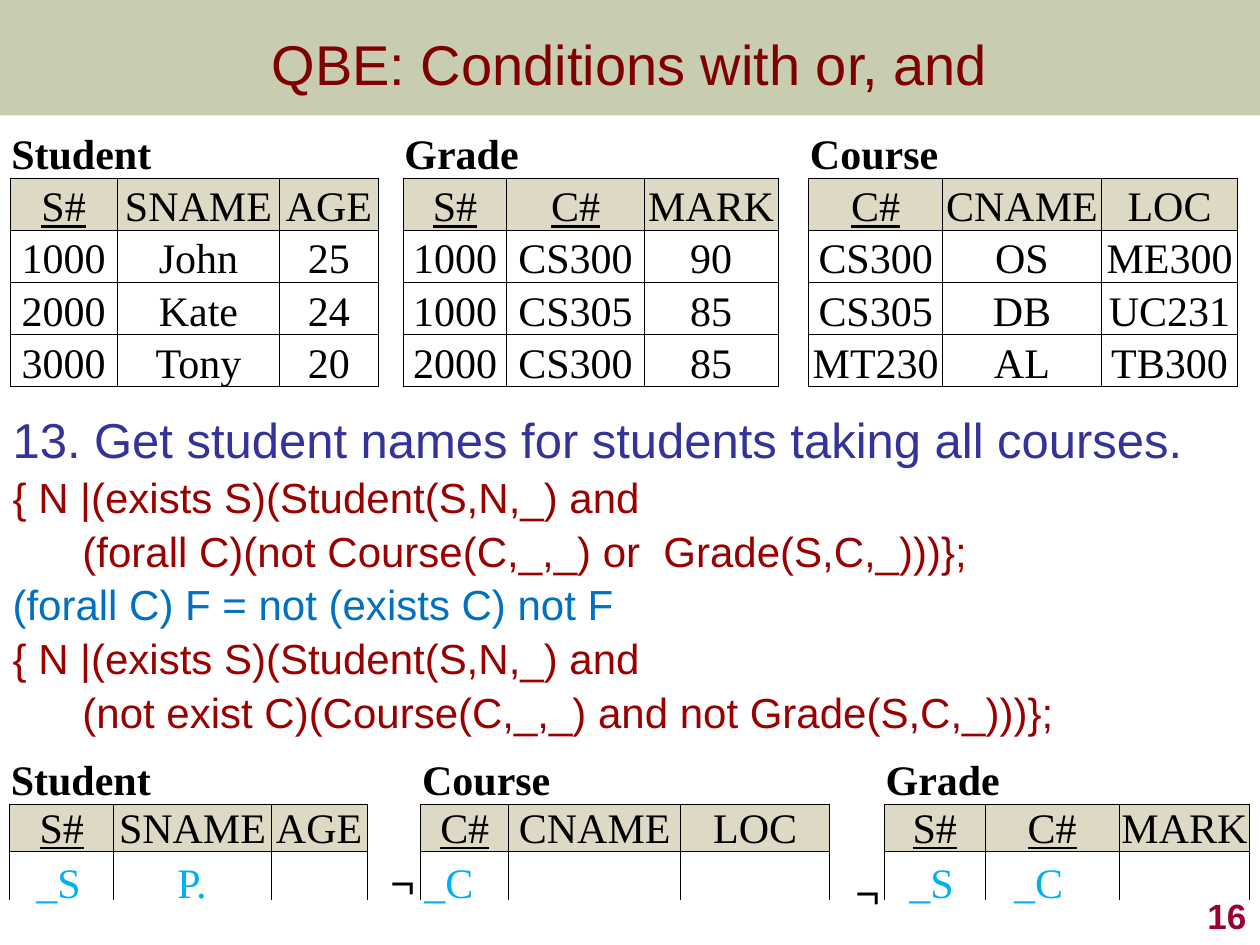
import pptx
import pptx.dml.color
import pptx.enum.shapes
import pptx.enum.text
import pptx.oxml
import pptx.oxml.ns
import pptx.util
from lxml import etree

Pt = pptx.util.Pt
ALIGN = pptx.enum.text.PP_ALIGN
ANCHOR = pptx.enum.text.MSO_ANCHOR
AUTO_SIZE = pptx.enum.text.MSO_AUTO_SIZE
qn = pptx.oxml.ns.qn

COLORS = {
    "band": "677228", "title": "800000", "question": "333399",
    "query": "990000", "rule": "0070C0", "example": "00B0F0",
    "header": "DDD9C4", "white": "FFFFFF", "black": "000000", "number": "990033",
}
SERIF, SANS = "Times New Roman", "Arial"

# Each relation: name, column names, column widths, rows
SAMPLE_RELATIONS = [
    ("Student", ["S#", "SNAME", "AGE"], [61.2, 92.9, 56.2],
     [["1000", "John", "25"], ["2000", "Kate", "24"], ["3000", "Tony", "20"]]),
    ("Grade", ["S#", "C#", "MARK"], [59.2, 78.5, 76.5],
     [["1000", "CS300", "90"], ["1000", "CS305", "85"], ["2000", "CS300", "85"]]),
    ("Course", ["C#", "CNAME", "LOC"], [76.5, 90.7, 78],
     [["CS300", "OS", "ME300"], ["CS305", "DB", "UC231"], ["MT230", "AL", "TB300"]]),
]
SAMPLE_GAPS = [14.4, 17.6]
BLANK_ROW = [["", "", ""]]
# Left edge and relation of each query skeleton
QUERY_RELATIONS = [
    (5.5, ("Student", ["S#", "SNAME", "AGE"], [59.5, 90, 54.7], BLANK_ROW)),
    (505.4, ("Grade", ["S#", "C#", "MARK"], [57.6, 76.5, 74.7], BLANK_ROW)),
    (240.5, ("Course", ["C#", "CNAME", "LOC"], [50.2, 98.4, 85], BLANK_ROW)),
]
# Text, left edge and width of each example element
EXAMPLES = [("P.", 94.3, 33), ("_S", 13.7, 42), ("_S", 512.6, 42),
            ("_C", 572.4, 44), ("_C", 235.4, 44)]
NEGATIONS = [(216, 486), (481.7, 491.8)]
BODY_LINES = [
    ("13. Get student names for students taking all courses.", 28, "question"),
    ("{ N |(exists S)(Student(S,N,_) and", 24, "query"),
    ("      (forall C)(not Course(C,_,_) or  Grade(S,C,_)))};", 24, "query"),
    ("(forall C) F = not (exists C) not F", 24, "rule"),
    ("{ N |(exists S)(Student(S,N,_) and", 24, "query"),
    ("      (not exist C)(Course(C,_,_) and not Grade(S,C,_)))};", 24, "query"),
]


def rgb(name):
    return pptx.dml.color.RGBColor.from_string(COLORS[name])


def set_font(para, face, size, color, bold=False, italic=False, underline=False):
    font = para.font
    font.name, font.size = face, Pt(size)
    font.bold, font.italic, font.underline = bold, italic, underline
    font.color.rgb = rgb(color)


def place(shape, left, top, width, height):
    shape.left, shape.top = Pt(left), Pt(top)
    shape.width, shape.height = Pt(width), Pt(height)


def add_title(page, left, top, width, height):
    title = page.shapes.title
    place(title, left, top, width, height)
    title.text_frame.text = "QBE: Conditions with or, and"
    title.text_frame.vertical_anchor = ANCHOR.MIDDLE
    para = title.text_frame.paragraphs[0]
    para.alignment = ALIGN.CENTER
    set_font(para, SANS, 32, "title")

    # Translucent band behind the title
    band = page.shapes.add_shape(
        pptx.enum.shapes.MSO_SHAPE.RECTANGLE, Pt(left), Pt(top), Pt(width), Pt(66))
    band.shadow.inherit = False
    band.fill.solid()
    band.fill.fore_color.rgb = rgb("band")
    band.line.fill.background()
    color = band.element.spPr.find(qn("a:solidFill")).find(qn("a:srgbClr"))
    etree.SubElement(color, qn("a:alpha"), val="36000")
    title.element.addprevious(band.element)


def add_body(page, left, top, width, height):
    body = page.placeholders[1]
    place(body, left, top, width, height)
    frame = body.text_frame
    frame.auto_size = AUTO_SIZE.NONE
    frame.vertical_anchor = ANCHOR.TOP
    frame.margin_right = 0
    for index, (text, size, color) in enumerate(BODY_LINES):
        para = frame.add_paragraph() if index else frame.paragraphs[0]
        para.text = text
        para.line_spacing = 0.9
        para.space_before = Pt(4.8 if index else 0)
        properties = para._p.get_or_add_pPr()
        properties.set("marL", "0")
        properties.set("indent", "0")
        etree.SubElement(properties, qn("a:buNone"))
        set_font(para, SANS, size, color)


def add_label(page, text, box, face, size, color, grow=True, **style):
    """Adds a one-line label; a growing label fits its text without wrapping."""
    label = page.shapes.add_textbox(*(Pt(length) for length in box))
    frame = label.text_frame
    frame.word_wrap = not grow
    frame.auto_size = AUTO_SIZE.SHAPE_TO_FIT_TEXT if grow else AUTO_SIZE.NONE
    frame.text = text
    set_font(frame.paragraphs[0], face, size, color, **style)
    return frame


def format_cell(cell, text, fill, edges, align=ALIGN.CENTER, **style):
    cell.margin_left = cell.margin_right = Pt(0.7)
    cell.margin_top = cell.margin_bottom = 0
    cell.vertical_anchor = ANCHOR.BOTTOM
    cell.text = text
    para = cell.text_frame.paragraphs[0]
    para.alignment = align
    para.line_spacing = 0.92
    set_font(para, SERIF, 24 if text else 18, "black", **style)
    properties = cell._tc.get_or_add_tcPr()
    for edge in "LRTB":
        line = etree.SubElement(properties, qn("a:ln" + edge), w=str(Pt(0.5)))
        if edge in edges:
            paint = etree.SubElement(line, qn("a:solidFill"))
            etree.SubElement(paint, qn("a:srgbClr"), val=COLORS["black"])
        else:
            etree.SubElement(line, qn("a:noFill"))
    cell.fill.solid()
    cell.fill.fore_color.rgb = rgb(fill)


def add_relations(page, left, top, row_height, relations, gaps=()):
    """Places relations side by side in one table, with empty columns between."""
    widths = list(relations[0][2])
    for gap, relation in zip(gaps, relations[1:]):
        widths += [gap] + relation[2]
    row_count = 2 + len(relations[0][3])
    table = page.shapes.add_table(
        row_count, len(widths), Pt(left), Pt(top),
        Pt(sum(widths)), Pt(row_height * row_count)).table
    table.first_row = table.horz_banding = False
    for column, width in zip(table.columns, widths):
        column.width = Pt(width)
    for row in table.rows:
        row.height = Pt(row_height)

    first = 0
    for name, headers, relation_widths, rows in relations:
        count = len(headers)
        for offset, header in enumerate(headers):
            column = first + offset
            format_cell(table.cell(0, column), "" if offset else name,
                        "white", "B", ALIGN.LEFT, bold=True)
            format_cell(table.cell(1, column), header, "header", "LRTB",
                        underline=header.endswith("#"))
            for index, values in enumerate(rows, 2):
                text = values[offset]
                format_cell(table.cell(index, column), text, "white",
                            "LRTB" if text else "LRT")
        table.cell(0, first).merge(table.cell(0, first + count - 1))
        first += count
        if first < len(widths):
            for index in range(row_count):
                format_cell(table.cell(index, first), "", "white", "LR" if index else "")
            first += 1


def add_query(page, top):
    for left, relation in QUERY_RELATIONS:
        add_relations(page, left, top, 27.4, [relation])
    # Example elements and negation signs
    for text, left, width in EXAMPLES:
        add_label(page, text, (left, top + 54, width, 36), SERIF, 24, "example")
    for left, sign_top in NEGATIONS:
        add_label(page, "¬", (left, sign_top, 28.8, 36), SANS, 24, "black", italic=True)


def main():
    deck = pptx.Presentation()
    deck.slide_width, deck.slide_height = Pt(720), Pt(540)
    page = deck.slides.add_slide(deck.slide_layouts[1])
    add_title(page, 0, 0, 720, 72)
    add_body(page, 0, 234, 720, 198)
    # Slide number
    number = add_label(page, "16", (569.5, 502.6, 149.8, 36), SANS, 20, "number",
                       grow=False, bold=True)
    number.vertical_anchor = ANCHOR.BOTTOM
    number.paragraphs[0].alignment = ALIGN.RIGHT
    add_query(page, 432)
    add_relations(page, 5.76, 72, 29.8, SAMPLE_RELATIONS, SAMPLE_GAPS)
    deck.save("out.pptx")


if __name__ == "__main__":
    main()
